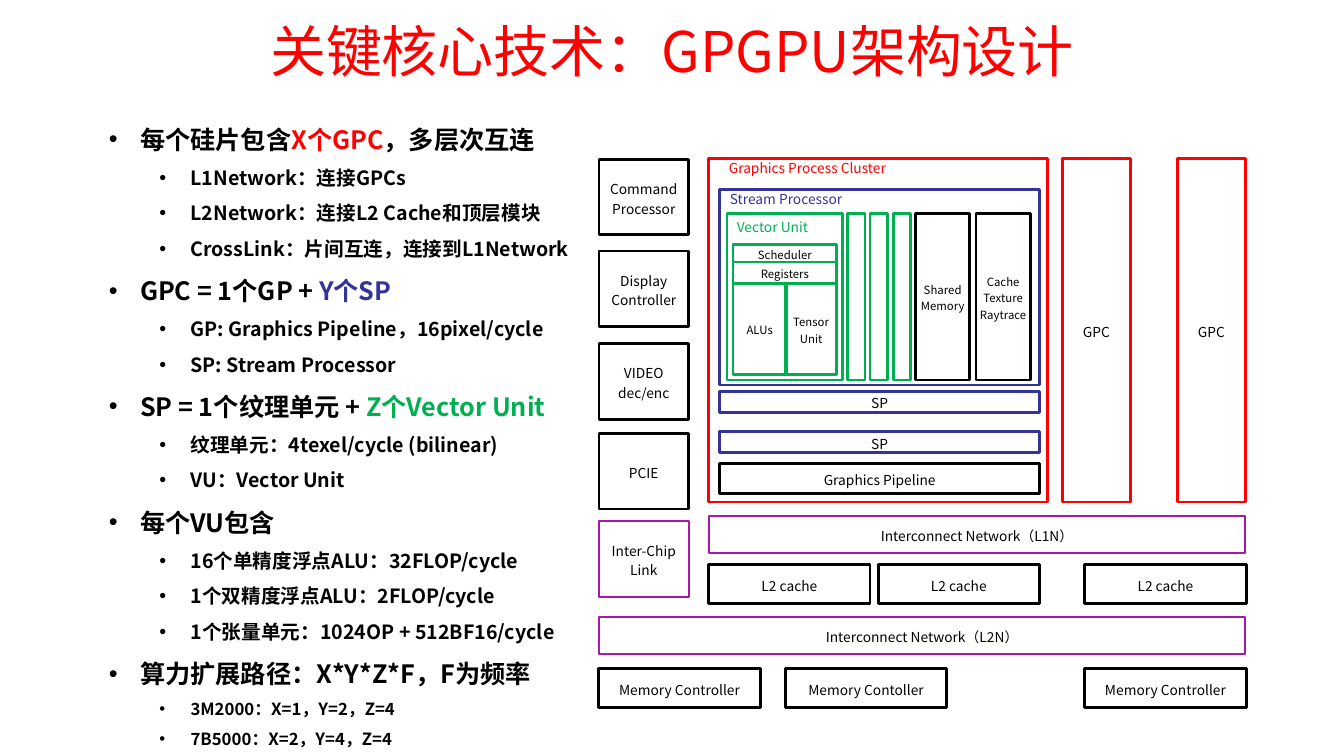
from lxml import etree
from pptx import Presentation
from pptx.dml.color import RGBColor
from pptx.enum.shapes import MSO_SHAPE
from pptx.enum.text import MSO_ANCHOR, MSO_AUTO_SIZE, PP_ALIGN
from pptx.oxml.ns import qn
from pptx.util import Inches, Pt

RECTANGLE = MSO_SHAPE.RECTANGLE
MIDDLE, TOP = MSO_ANCHOR.MIDDLE, MSO_ANCHOR.TOP
CENTER = PP_ALIGN.CENTER
NO_AUTOFIT = MSO_AUTO_SIZE.NONE

BLACK = RGBColor(0x00, 0x00, 0x00)
RED = RGBColor(0xFF, 0x00, 0x00)
BLUE = RGBColor(0x33, 0x33, 0x99)
GREEN = RGBColor(0x00, 0xB0, 0x50)
PURPLE = RGBColor(0xA6, 0x18, 0xA7)
FONT = "Noto Sans CJK SC"
LABEL_SIZE, SMALL_SIZE = 9.8, 8.1


def style_paragraph(paragraph, size, color, bold=False):
    """Set the font for Latin and East Asian text alike."""
    font = paragraph.font
    font.name, font.size, font.bold = FONT, Pt(size), bold
    font.color.rgb = color
    properties = paragraph._p.pPr.find(qn("a:defRPr"))
    east_asian = etree.SubElement(properties, qn("a:ea"))
    east_asian.set("typeface", FONT)


def add_block(left, top, width, height, color, lines=(), size=LABEL_SIZE):
    """Add an outlined block with one centred paragraph per line."""
    block = slide.shapes.add_shape(
        RECTANGLE, Inches(left), Inches(top), Inches(width), Inches(height))
    block.shadow.inherit = False
    block.fill.background()
    block.line.color.rgb = color
    block.line.width = Pt(1.5 if color == PURPLE else 2)
    frame = block.text_frame
    frame.margin_left = frame.margin_right = 0
    frame.vertical_anchor = MIDDLE
    for index, line in enumerate(lines):
        paragraph = frame.add_paragraph() if index else frame.paragraphs[0]
        paragraph.text = line
        paragraph.alignment = CENTER
        paragraph.line_spacing = 1.2
        style_paragraph(paragraph, size, BLACK)


presentation = Presentation()
presentation.slide_width = Inches(13.33)
presentation.slide_height = Inches(7.5)
slide = presentation.slides.add_slide(presentation.slide_layouts[1])

# Title
title = slide.shapes.title
title.left, title.top = Inches(0), Inches(-0.03)
title.width, title.height = Inches(13.33), Inches(1.06)
title.text_frame.vertical_anchor = MIDDLE
title_paragraph = title.text_frame.paragraphs[0]
title_paragraph.text = "关键核心技术：GPGPU架构设计"
title_paragraph.alignment = CENTER
style_paragraph(title_paragraph, 40, RED)

# Bullet list: level, size, coloured runs
bullets = [
    (0, 18, [("每个硅片包含", BLACK), ("X个GPC", RED), ("，多层次互连", BLACK)]),
    (1, 14, [("L1Network：连接GPCs", BLACK)]),
    (1, 14, [("L2Network：连接L2 Cache和顶层模块", BLACK)]),
    (1, 14, [("CrossLink：片间互连，连接到L1Network", BLACK)]),
    (0, 18, [("GPC = 1个GP + ", BLACK), ("Y个SP", BLUE)]),
    (1, 14, [("GP: Graphics Pipeline，16pixel/cycle", BLACK)]),
    (1, 14, [("SP: Stream Processor", BLACK)]),
    (0, 18, [("SP = 1个纹理单元 + ", BLACK), ("Z个Vector Unit", GREEN)]),
    (1, 14, [("纹理单元：4texel/cycle (bilinear)", BLACK)]),
    (1, 14, [("VU：Vector Unit", BLACK)]),
    (0, 18, [("每个VU包含", BLACK)]),
    (1, 14, [("16个单精度浮点ALU：32FLOP/cycle", BLACK)]),
    (1, 14, [("1个双精度浮点ALU：2FLOP/cycle", BLACK)]),
    (1, 14, [("1个张量单元：1024OP + 512BF16/cycle", BLACK)]),
    (0, 18, [("算力扩展路径：X*Y*Z*F，F为频率", BLACK)]),
    (1, 12, [("3M2000：X=1，Y=2，Z=4", BLACK)]),
    (1, 12, [("7B5000：X=2，Y=4，Z=4", BLACK)]),
]
body = slide.placeholders[1]
body.left, body.top = Inches(0.98), Inches(1.03)
body.width, body.height = Inches(4.96), Inches(6.51)
body.text_frame.auto_size = NO_AUTOFIT
body.text_frame.vertical_anchor = TOP
for index, (level, size, runs) in enumerate(bullets):
    frame = body.text_frame
    paragraph = frame.add_paragraph() if index else frame.paragraphs[0]
    paragraph.level = level
    paragraph.line_spacing = 1.5
    paragraph.space_before = paragraph.space_after = Pt(0)
    properties = paragraph._p.get_or_add_pPr()
    properties.set("marL", str(Inches(0.31 + 0.5 * level)))
    properties.set("indent", str(Inches(-0.31)))
    etree.SubElement(properties, qn("a:buFont")).set("typeface", "Arial")
    etree.SubElement(properties, qn("a:buChar")).set("char", "•")
    style_paragraph(paragraph, size, BLACK, bold=True)
    for text, color in runs:
        run = paragraph.add_run()
        run.text = text
        if color != BLACK:
            run.font.color.rgb = color

# Peripheral blocks on the left
for top, color, lines in [
    (1.58, BLACK, ["Command", "Processor"]),
    (2.49, BLACK, ["Display", "Controller"]),
    (3.41, BLACK, ["VIDEO", "dec/enc"]),
    (4.3, BLACK, ["PCIE"]),
    (5.17, PURPLE, ["Inter-Chip", "Link"]),
]:
    add_block(5.94, top, 0.89, 0.75, color, lines)

# Graphics process clusters
add_block(7.03, 1.57, 3.36, 3.41, RED)
for left in (10.54, 11.68):
    add_block(left, 1.57, 0.67, 3.41, RED, ["GPC"])
add_block(7.14, 4.6, 3.17, 0.3, BLACK, ["Graphics Pipeline"])

# Stream processors
add_block(7.14, 1.88, 3.17, 1.94, BLUE)
for top in (3.88, 4.28):
    add_block(7.14, top, 3.17, 0.21, BLUE, ["SP"])
add_block(9.08, 2.12, 0.54, 1.65, BLACK, ["Shared", "Memory"], SMALL_SIZE)
add_block(9.68, 2.12, 0.54, 1.65, BLACK,
          ["Cache", "Texture", "Raytrace"], SMALL_SIZE)

# Vector units
add_block(7.21, 2.12, 1.15, 1.65, GREEN)
for left in (8.41, 8.63, 8.86):
    add_block(left, 2.12, 0.17, 1.65, GREEN)
for left, top, width, height, lines in [
    (7.27, 2.43, 1.03, 0.17, ["Scheduler"]),
    (7.27, 2.6, 1.03, 0.21, ["Registers"]),
    (7.27, 2.81, 0.53, 0.91, ["ALUs"]),
    (7.79, 2.81, 0.51, 0.91, ["Tensor", "Unit"]),
]:
    add_block(left, top, width, height, GREEN, lines, SMALL_SIZE)

# Names of the nested levels
for left, top, width, text, color in [
    (7.13, 1.54, 2.49, "Graphics Process Cluster", RED),
    (7.14, 1.84, 1.79, "Stream Processor", BLUE),
    (7.21, 2.12, 1.1, "Vector Unit", GREEN),
]:
    label = slide.shapes.add_textbox(
        Inches(left), Inches(top), Inches(width), Inches(0.27))
    label.text_frame.word_wrap = True
    paragraph = label.text_frame.paragraphs[0]
    paragraph.text = text
    style_paragraph(paragraph, LABEL_SIZE, color)

# Interconnects, caches and memory
add_block(7.03, 5.12, 5.32, 0.37, PURPLE, ["Interconnect Network（L1N）"])
add_block(5.94, 6.12, 6.41, 0.37, PURPLE, ["Interconnect Network（L2N）"])
for left in (7.03, 8.71, 10.76):
    add_block(left, 5.6, 1.6, 0.39, BLACK, ["L2 cache"])
for left, text in [(5.94, "Memory Controller"), (7.79, "Memory Contoller"),
                   (10.76, "Memory Controller")]:
    add_block(left, 6.63, 1.6, 0.39, BLACK, [text])

presentation.save("out.pptx")
